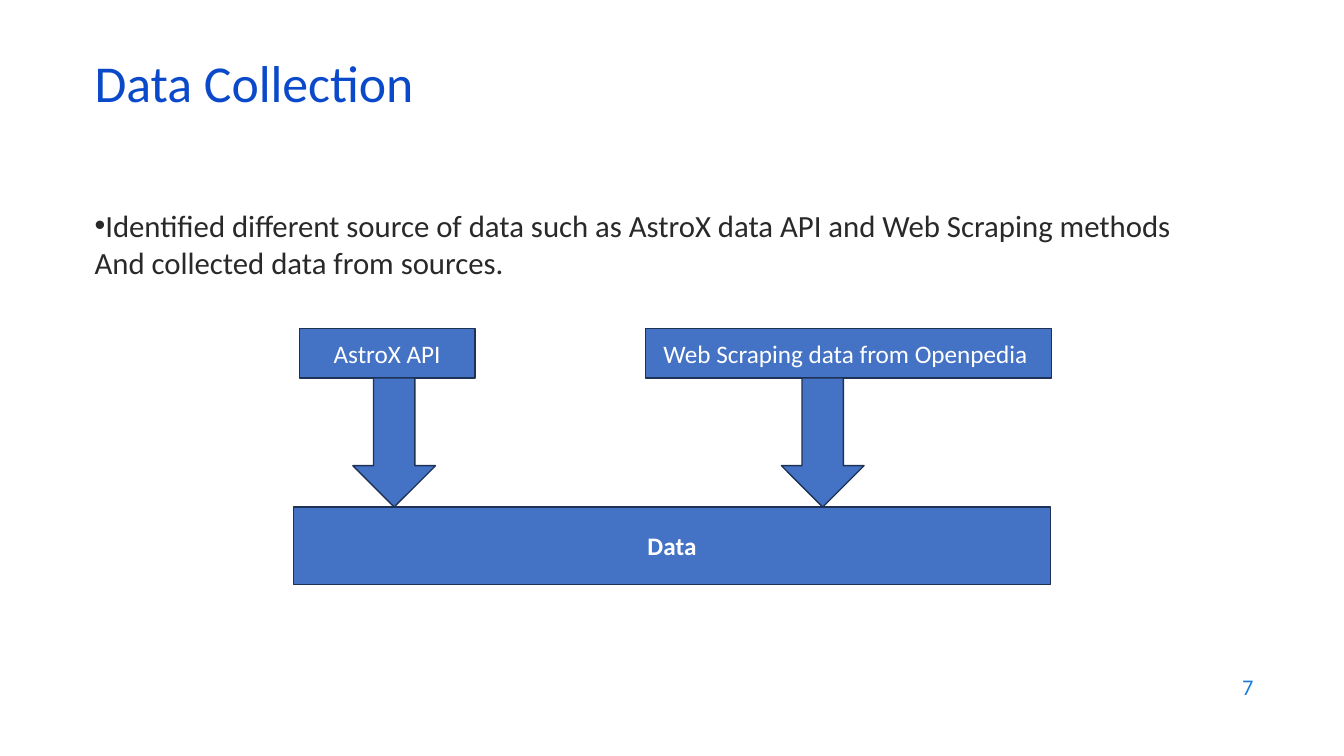
"""Build the Data Collection slide: two sources feeding one data store."""
from dataclasses import dataclass

from lxml import etree
from pptx import Presentation
from pptx.dml.color import RGBColor
from pptx.enum.shapes import MSO_SHAPE
from pptx.enum.text import MSO_ANCHOR, PP_ALIGN
from pptx.oxml.ns import qn
from pptx.slide import Slide
from pptx.text.text import TextFrame
from pptx.util import Inches, Pt

RECTANGLE = MSO_SHAPE.RECTANGLE
DOWN_ARROW = MSO_SHAPE.DOWN_ARROW
TOP, MIDDLE = MSO_ANCHOR.TOP, MSO_ANCHOR.MIDDLE
LEFT, CENTER, RIGHT = PP_ALIGN.LEFT, PP_ALIGN.CENTER, PP_ALIGN.RIGHT

FONT = "Calibri"
COLORS = {
    "title": "0B49CB",
    "body": "292929",
    "number": "1C7DDB",
    "fill": "4472C4",
    "outline": "1E3256",
    "label": "FFFFFF",
}
SOURCE_TOP, SOURCE_HEIGHT = 3.26, 0.49
SOURCE_BOTTOM = SOURCE_TOP + SOURCE_HEIGHT
DATA_TOP = 5.03
ARROW_WIDTH = 0.82


@dataclass(frozen=True)
class Box:
    left: float
    top: float
    width: float
    height: float


@dataclass(frozen=True)
class Source:
    label: str
    left: float
    width: float
    arrow_left: float


SOURCES = (
    Source("AstroX API", 2.97, 1.74, 3.5),
    Source("Web Scraping data from Openpedia ", 6.4, 4.03, 7.75),
)


def write_text(
    frame: TextFrame,
    text: str,
    *,
    size: float,
    color: str,
    bold: bool = False,
    align: PP_ALIGN = LEFT,
    anchor: MSO_ANCHOR = MIDDLE,
    line_spacing: float = 1.0,
    bullet: str = "",
) -> None:
    frame.word_wrap = True
    frame.vertical_anchor = anchor
    paragraph = frame.paragraphs[0]
    paragraph.text = text
    paragraph.alignment = align
    paragraph.line_spacing = line_spacing
    if bullet:
        properties = paragraph._p.get_or_add_pPr()
        properties.set("marL", "0")
        properties.set("indent", "0")
        etree.SubElement(properties, qn("a:buFont")).set("typeface", "Arial")
        etree.SubElement(properties, qn("a:buChar")).set("char", bullet)
    for run in paragraph.runs:
        run.font.name = FONT
        run.font.size = Pt(size)
        run.font.bold = bold
        run.font.color.rgb = RGBColor.from_string(COLORS[color])


def box_lengths(box: Box) -> tuple:
    return tuple(Inches(n) for n in (box.left, box.top, box.width, box.height))


def add_text(slide: Slide, box: Box, text: str, **text_format) -> None:
    text_box = slide.shapes.add_textbox(*box_lengths(box))
    write_text(text_box.text_frame, text, **text_format)


def add_block(
    slide: Slide, kind: MSO_SHAPE, box: Box, label: str = "", bold: bool = False
) -> None:
    shape = slide.shapes.add_shape(kind, *box_lengths(box))
    shape.shadow.inherit = False
    shape.fill.solid()
    shape.fill.fore_color.rgb = RGBColor.from_string(COLORS["fill"])
    shape.line.color.rgb = RGBColor.from_string(COLORS["outline"])
    shape.line.width = Pt(1)
    if label:
        write_text(shape.text_frame, label, size=18, color="label", bold=bold, align=CENTER)


def main() -> None:
    presentation = Presentation()
    presentation.slide_width = Inches(13.33)
    presentation.slide_height = Inches(7.5)
    slide = presentation.slides.add_slide(presentation.slide_layouts[6])

    add_text(slide, Box(9.53, 6.59, 3, 0.44), "7", size=16, color="number", align=RIGHT)
    add_text(
        slide,
        Box(0.84, 2, 11.5, 4.76),
        "Identified different source of data such as AstroX data API and Web Scraping methods"
        "\vAnd collected data from sources.",
        size=22, color="body", anchor=TOP, bullet="•",
    )
    add_text(
        slide, Box(0.84, 0.59, 11.5, 0.6), "Data Collection",
        size=37, color="title", line_spacing=0.7,
    )

    for source in SOURCES:
        box = Box(source.left, SOURCE_TOP, source.width, SOURCE_HEIGHT)
        add_block(slide, RECTANGLE, box, source.label)
    add_block(slide, RECTANGLE, Box(2.91, DATA_TOP, 7.51, 0.77), "Data", bold=True)
    for source in reversed(SOURCES):
        box = Box(source.arrow_left, SOURCE_BOTTOM, ARROW_WIDTH, DATA_TOP - SOURCE_BOTTOM)
        add_block(slide, DOWN_ARROW, box)

    presentation.save("out.pptx")


if __name__ == "__main__":
    main()
